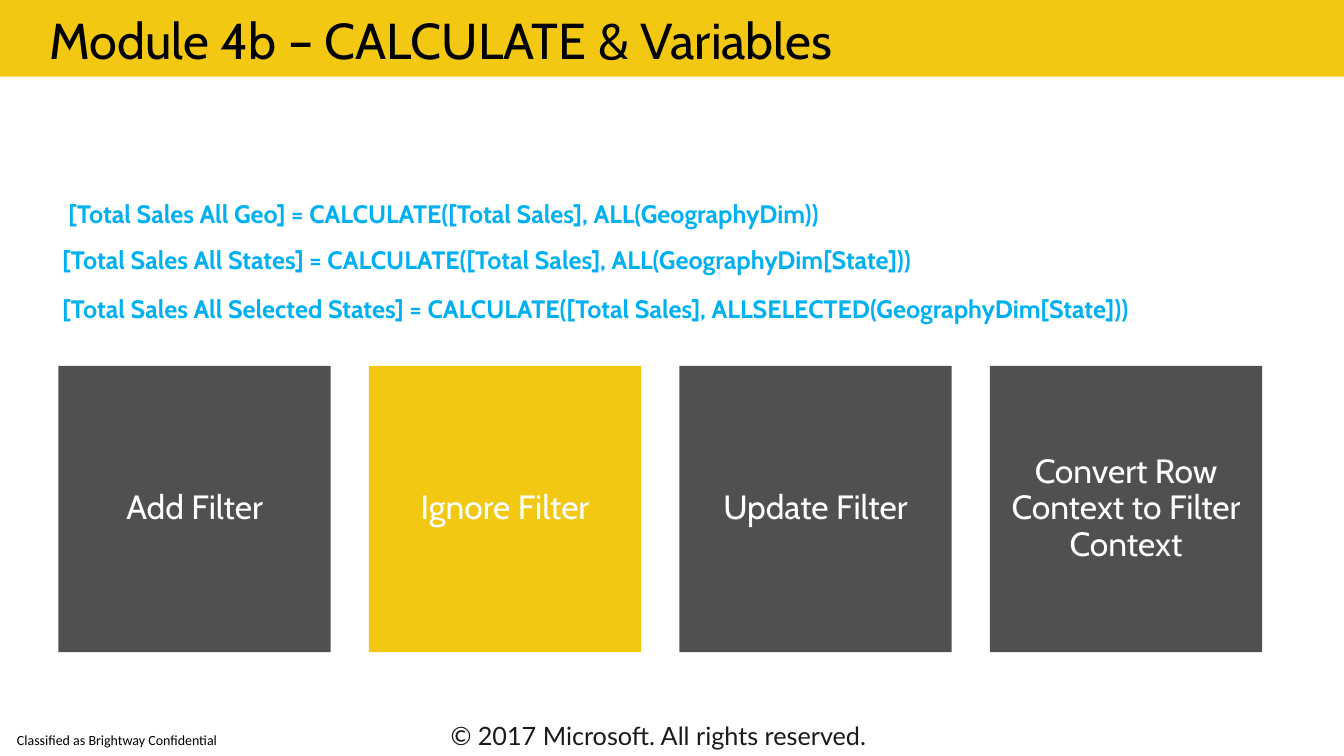
from dataclasses import dataclass

import pptx
import pptx.util
from pptx.dml.color import RGBColor
from pptx.enum.shapes import MSO_SHAPE
from pptx.enum.text import MSO_ANCHOR, PP_ALIGN
from pptx.shapes.autoshape import Shape
from pptx.slide import Slide

YELLOW = RGBColor(0xF2, 0xC8, 0x12)
GREY = RGBColor(0x50, 0x50, 0x50)
BLUE = RGBColor(0x00, 0xB0, 0xF0)
INK = RGBColor(0x1A, 0x1A, 0x1A)
BLACK = RGBColor(0x00, 0x00, 0x00)
WHITE = RGBColor(0xFF, 0xFF, 0xFF)

WIDTH = pptx.util.Inches(13.33)
HEIGHT = pptx.util.Inches(7.5)
COLUMN = WIDTH / 100
ROW = HEIGHT / 100

TILE_LEFT, TILE_TOP = 4.35, 48.4
TILE_WIDTH, TILE_HEIGHT = 20.26, 37.87
TILE_PITCH = 23.1


@dataclass(frozen=True)
class Area:
    """A rectangle in columns and rows, each one hundredth of the slide."""
    left: float
    top: float
    width: float
    height: float

    def lengths(self) -> tuple[int, int, int, int]:
        return (round(self.left * COLUMN), round(self.top * ROW),
                round(self.width * COLUMN), round(self.height * ROW))


@dataclass(frozen=True)
class Style:
    font: str
    size: float
    color: RGBColor
    bold: bool = False
    centred: bool = False
    spacing: float = 1.0


@dataclass(frozen=True)
class Label:
    text: str
    area: Area
    style: Style


@dataclass(frozen=True)
class Tile:
    text: str
    fill: RGBColor = GREY


TITLE = Style("Cabin", 36, BLACK)
FORMULA = Style("Cabin", 18, BLUE, bold=True)
TILE = Style("Cabin", 24, WHITE, centred=True, spacing=0.9)
COPYRIGHT = Style("Lato", 18, INK)
CLASSIFICATION = Style("Calibri", 10, BLACK, centred=True, spacing=0.9)

LABELS = [
    Label("© 2017 Microsoft. All rights reserved.", Area(32.78, 94.67, 33.16, 5.33), COPYRIGHT),
    Label("Module 4b – CALCULATE & Variables", Area(2.93, 0.53, 91.07, 9.6), TITLE),
    Label("[Total Sales All Geo] = CALCULATE([Total Sales], ALL(GeographyDim))",
          Area(4.35, 25.6, 61.52, 5.33), FORMULA),
    Label("[Total Sales All States] = CALCULATE([Total Sales], ALL(GeographyDim[State]))",
          Area(3.9, 31.6, 89.05, 5.33), FORMULA),
    Label("[Total Sales All Selected States] = CALCULATE([Total Sales], "
          "ALLSELECTED(GeographyDim[State]))",
          Area(3.9, 38.13, 92.57, 5.33), FORMULA),
]
CLASSIFICATION_LABEL = Label("Classified as Brightway Confidential",
                             Area(0, 96.13, 17.4, 3.87), CLASSIFICATION)
TILES = [
    Tile("Add Filter"),
    Tile("Ignore Filter", YELLOW),
    Tile("Update Filter"),
    Tile("Convert Row Context to Filter Context"),
]


def write(box: Shape, text: str, style: Style) -> None:
    box.text_frame.word_wrap = True
    box.text_frame.text = text
    para = box.text_frame.paragraphs[0]
    para.alignment = PP_ALIGN.CENTER if style.centred else PP_ALIGN.LEFT
    para.line_spacing = style.spacing
    font = para.runs[0].font
    font.name, font.size = style.font, pptx.util.Pt(style.size)
    font.bold, font.color.rgb = style.bold, style.color


def set_middle(box: Shape, across: float, down: float) -> None:
    """Centre the text vertically, with insets given in inches."""
    frame = box.text_frame
    frame.vertical_anchor = MSO_ANCHOR.MIDDLE
    frame.margin_left = frame.margin_right = pptx.util.Inches(across)
    frame.margin_top = frame.margin_bottom = pptx.util.Inches(down)


def add_rectangle(page: Slide, area: Area, fill: RGBColor) -> Shape:
    box = page.shapes.add_shape(MSO_SHAPE.RECTANGLE, *area.lengths())
    box.shadow.inherit = False
    box.fill.solid()
    box.fill.fore_color.rgb = fill
    box.line.fill.background()
    return box


def add_label(page: Slide, label: Label) -> Shape:
    box = page.shapes.add_textbox(*label.area.lengths())
    write(box, label.text, label.style)
    return box


def add_tile(page: Slide, index: int, tile: Tile) -> None:
    area = Area(TILE_LEFT + index * TILE_PITCH, TILE_TOP, TILE_WIDTH, TILE_HEIGHT)
    box = add_rectangle(page, area, tile.fill)
    write(box, tile.text, TILE)
    set_middle(box, 0.2, 0.16)


def main() -> None:
    deck = pptx.Presentation()
    deck.slide_width, deck.slide_height = WIDTH, HEIGHT
    page = deck.slides.add_slide(deck.slide_layouts[6])
    add_rectangle(page, Area(0, 0, 100, 10.13), YELLOW)
    set_middle(add_label(page, CLASSIFICATION_LABEL), 0, 0)
    for label in LABELS:
        add_label(page, label)
    for index, tile in enumerate(TILES):
        add_tile(page, index, tile)
    deck.save("out.pptx")


if __name__ == "__main__":
    main()
